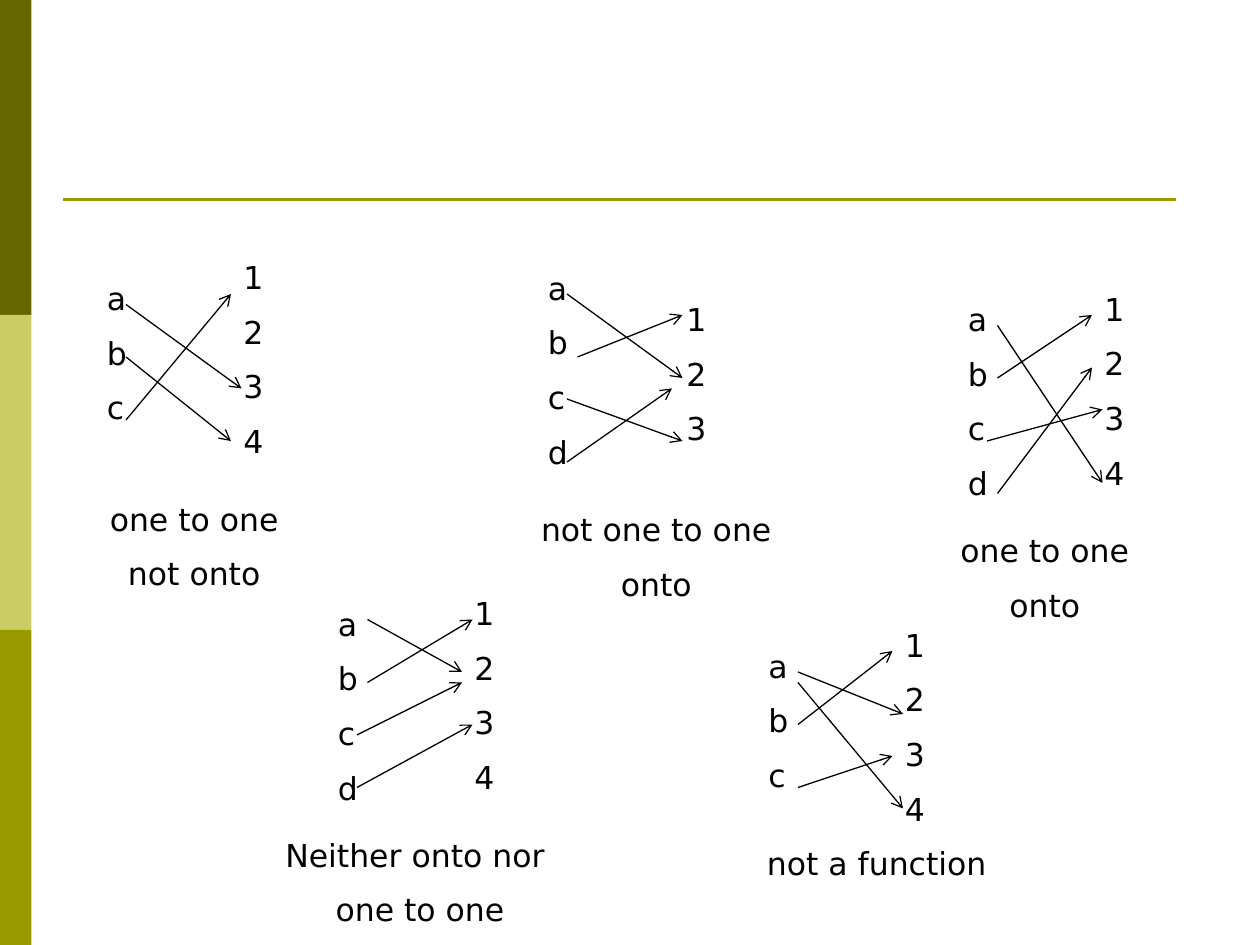
"""Draw five mapping diagrams between letters and numbers on a 120 by 90 grid."""
from lxml.etree import SubElement
from pptx import Presentation
from pptx.dml.color import RGBColor
from pptx.enum.shapes import MSO_CONNECTOR as Connector, MSO_SHAPE as Shape
from pptx.enum.text import MSO_AUTO_SIZE as AutoSize, PP_ALIGN as Align
from pptx.oxml.ns import qn
from pptx.util import Inches, Pt

BARS = ["666600", "CCCC66", "999900"]
RULE = {"start": (6, 19), "end": (112, 19), "color": "999900", "width": 1.5}
FONT = {"name": "DejaVu Sans", "size": Pt(18)}
INK = "000000"
LIST_WIDTH = 5

MAPPINGS = [
    {"domain": ("abc", 9, 26), "codomain": ("1234", 22, 24),
     "arrows": [(12, 29, 23, 37), (12, 34, 22, 42), (12, 40, 22, 28)],
     "caption": (["one to one", "not onto"], 9, 47, 19)},
    {"domain": ("abcd", 51, 25), "codomain": ("123", 64.2, 28),
     "arrows": [(54, 28, 65, 36), (54, 38, 65, 42), (55, 34, 65, 30), (54, 44, 64, 37)],
     "caption": (["not one to one", "onto"], 49, 48, 27)},
    {"domain": ("abcd", 91, 28), "codomain": ("1234", 104, 27),
     "arrows": [(95, 31, 105, 46), (95, 36, 104, 30), (94, 42, 105, 39), (95, 47, 104, 35)],
     "caption": (["one to one", "onto"], 86, 50, 27)},
    {"domain": ("abcd", 31, 57), "codomain": ("1234", 44, 56),
     "arrows": [(35, 59, 44, 64), (35, 65, 45, 59), (34, 70, 44, 65), (34, 75, 45, 69)],
     "caption": (["Neither onto nor ", "one to one"], 23, 79, 34)},
    {"domain": ("abc", 72, 61), "codomain": ("1234", 85, 59),
     "arrows": [(76, 64, 86, 68), (76, 65, 86, 77), (76, 69, 85, 62), (76, 75, 85, 72)],
     "caption": (["not a function"], 70, 79.8, 27)},
]


def grid(*units):
    return [Inches(unit / 12) for unit in units]


def color(code):
    return RGBColor.from_string(code)


def add_lines(shapes, lines, left, top, width, align=Align.LEFT):
    height = 4.8 + 5.4 * (len(lines) - 1)
    frame = shapes.add_textbox(*grid(left, top, width, height)).text_frame
    frame.word_wrap = True
    frame.auto_size = AutoSize.SHAPE_TO_FIT_TEXT
    frame.text = "\n".join(lines)
    for paragraph in frame.paragraphs:
        paragraph.alignment = align
        font = paragraph.runs[0].font
        font.color.rgb = color(INK)
        for attribute, value in FONT.items():
            setattr(font, attribute, value)
    for paragraph in frame.paragraphs[1:]:
        paragraph.space_before = Pt(9.6)


def add_stroke(shapes, start, end, code, width, arrow=False):
    stroke = shapes.add_connector(Connector.STRAIGHT, *grid(*start, *end))
    stroke.line.color.rgb = color(code)
    stroke.line.width = Pt(width)
    if arrow:
        SubElement(stroke.line._get_or_add_ln(), qn("a:tailEnd"), type="arrow")
    SubElement(stroke._element.spPr, qn("a:effectLst"))


def add_mapping(shapes, mapping):
    diagram = shapes.add_group_shape().shapes
    for part in ("domain", "codomain"):
        add_lines(diagram, *mapping[part], LIST_WIDTH)
    for x1, y1, x2, y2 in mapping["arrows"]:
        add_stroke(diagram, (x1, y1), (x2, y2), INK, 0.75, arrow=True)
    add_lines(shapes, *mapping["caption"], Align.CENTER)


def main():
    deck = Presentation()
    deck.slide_width, deck.slide_height = grid(120, 90)
    shapes = deck.slides.add_slide(deck.slide_layouts[6]).shapes
    for row, code in enumerate(BARS):
        bar = shapes.add_shape(Shape.RECTANGLE, *grid(0, 30 * row, 3, 30))
        bar.shadow.inherit = False
        bar.fill.solid()
        bar.fill.fore_color.rgb = color(code)
        bar.line.fill.background()
    add_stroke(shapes, RULE["start"], RULE["end"], RULE["color"], RULE["width"])
    for mapping in MAPPINGS:
        add_mapping(shapes, mapping)
    deck.save("out.pptx")


if __name__ == "__main__":
    main()
